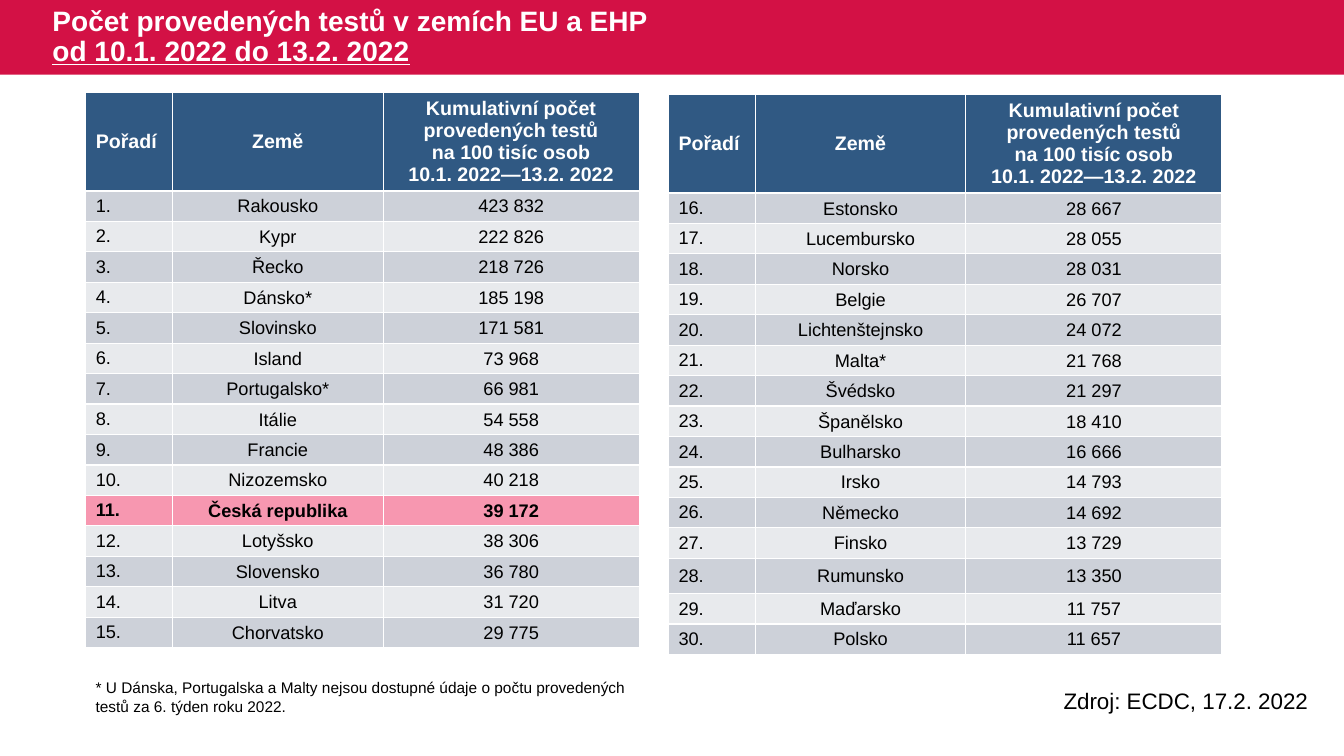
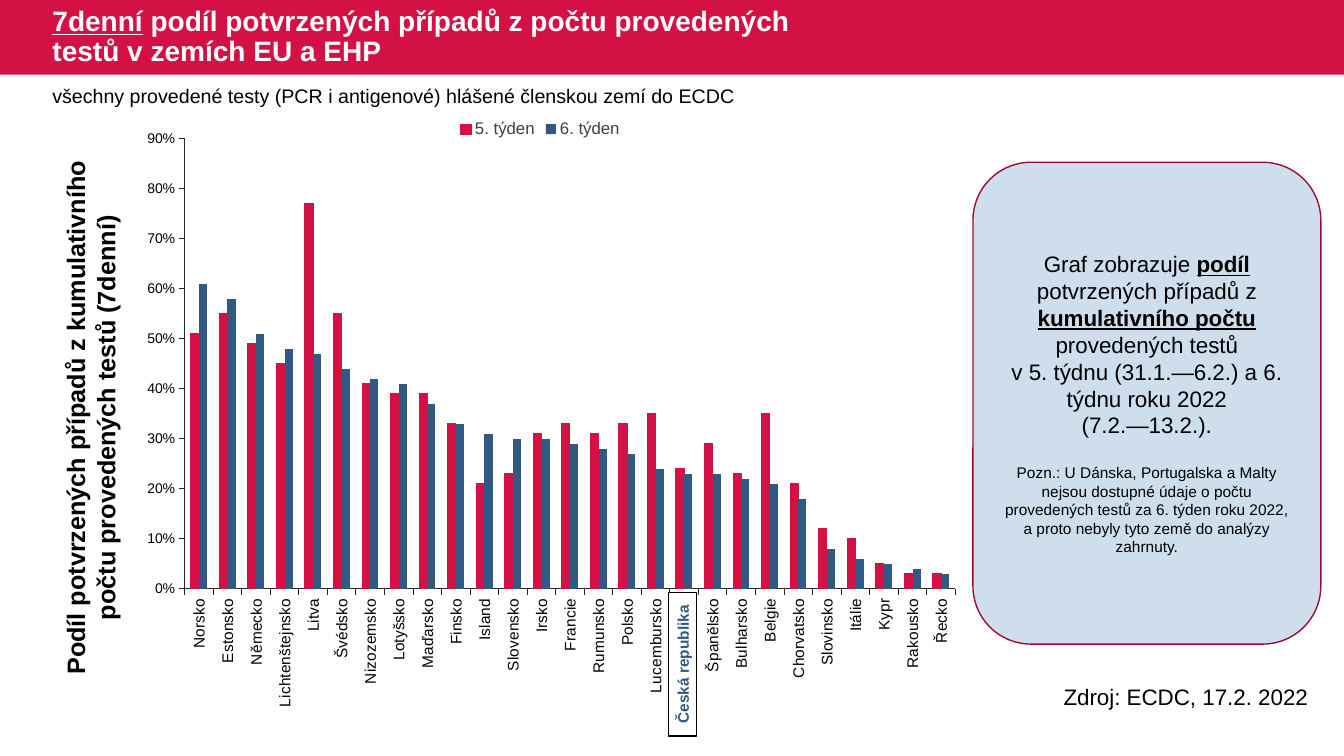
from pptx import Presentation
from pptx.chart.data import CategoryChartData
from pptx.dml.color import RGBColor
from pptx.enum.chart import XL_CHART_TYPE, XL_LEGEND_POSITION, XL_TICK_MARK
from pptx.enum.shapes import MSO_SHAPE
from pptx.enum.text import MSO_ANCHOR, MSO_AUTO_SIZE, PP_ALIGN
from pptx.oxml import parse_xml
from pptx.oxml.ns import nsdecls
from pptx.util import Inches, Pt

FONT = "Arial"
RED, DARK_RED, BLUE, PALE_BLUE = "D31145", "9C0D33", "305983", "CFDEED"
GREY, PALE_GREY, PINK = "CDD1D9", "E8EAED", "F797B0"
WHITE, BLACK, AXIS, LEGEND = "FFFFFF", "000000", "262626", "404040"
LEFT, CENTER = PP_ALIGN.LEFT, PP_ALIGN.CENTER
TOP, MIDDLE = MSO_ANCHOR.TOP, MSO_ANCHOR.MIDDLE
NO_AUTOFIT, FIT_SHAPE = MSO_AUTO_SIZE.NONE, MSO_AUTO_SIZE.SHAPE_TO_FIT_TEXT
RECTANGLE, ROUNDED = MSO_SHAPE.RECTANGLE, MSO_SHAPE.ROUNDED_RECTANGLE
COLUMNS, LEGEND_TOP = XL_CHART_TYPE.COLUMN_CLUSTERED, XL_LEGEND_POSITION.TOP
TICK_OUTSIDE = XL_TICK_MARK.OUTSIDE

TITLE_ONLY = 5
HIGHLIGHT = "Česká republika"
SOURCE = "Zdroj: ECDC, 17.2. 2022"
COLUMN_WIDTHS = (0.86, 2.09, 2.54)
HEADER = (
    ["Pořadí"],
    ["Země"],
    ["Kumulativní počet provedených testů", "na 100 tisíc osob", "10.1. 2022—13.2. 2022"],
)
TESTS = [
    ("Rakousko", 423832), ("Kypr", 222826), ("Řecko", 218726),
    ("Dánsko*", 185198), ("Slovinsko", 171581), ("Island", 73968),
    ("Portugalsko*", 66981), ("Itálie", 54558), ("Francie", 48386),
    ("Nizozemsko", 40218), (HIGHLIGHT, 39172), ("Lotyšsko", 38306),
    ("Slovensko", 36780), ("Litva", 31720), ("Chorvatsko", 29775),
    ("Estonsko", 28667), ("Lucembursko", 28055), ("Norsko", 28031),
    ("Belgie", 26707), ("Lichtenštejnsko", 24072), ("Malta*", 21768),
    ("Švédsko", 21297), ("Španělsko", 18410), ("Bulharsko", 16666),
    ("Irsko", 14793), ("Německo", 14692), ("Finsko", 13729),
    ("Rumunsko", 13350), ("Maďarsko", 11757), ("Polsko", 11657),
]
SHARES = [
    ("Norsko", 0.51, 0.61), ("Estonsko", 0.55, 0.58), ("Německo", 0.49, 0.51),
    ("Lichtenštejnsko", 0.45, 0.48), ("Litva", 0.77, 0.47), ("Švédsko", 0.55, 0.44),
    ("Nizozemsko", 0.41, 0.42), ("Lotyšsko", 0.39, 0.41), ("Maďarsko", 0.39, 0.37),
    ("Finsko", 0.33, 0.33), ("Island", 0.21, 0.31), ("Slovensko", 0.23, 0.3),
    ("Irsko", 0.31, 0.3), ("Francie", 0.33, 0.29), ("Rumunsko", 0.31, 0.28),
    ("Polsko", 0.33, 0.27), ("Lucembursko", 0.35, 0.24), (HIGHLIGHT, 0.24, 0.23),
    ("Španělsko", 0.29, 0.23), ("Bulharsko", 0.23, 0.22), ("Belgie", 0.35, 0.21),
    ("Chorvatsko", 0.21, 0.18), ("Slovinsko", 0.12, 0.08), ("Itálie", 0.1, 0.06),
    ("Kypr", 0.05, 0.05), ("Rakousko", 0.03, 0.04), ("Řecko", 0.03, 0.03),
]


def rgb(value):
    """Return the colour for a hex string."""
    return RGBColor.from_string(value)


def set_font(font, size, color, bold=False):
    """Apply the deck's typeface with a size, colour and weight."""
    font.name, font.size, font.bold = FONT, Pt(size), bold
    font.color.rgb = rgb(color)


def write(frame, paragraphs, size, color=BLACK, bold=False, align=LEFT, anchor=TOP):
    """Write paragraphs, each a string or a list of (text, emphasized) runs."""
    frame.word_wrap = True
    frame.vertical_anchor = anchor
    for index, content in enumerate(paragraphs):
        paragraph = frame.add_paragraph() if index else frame.paragraphs[0]
        paragraph.alignment = align
        set_font(paragraph.font, size, color, bold)
        runs = [(content, False)] if isinstance(content, str) else content
        for text, emphasized in runs:
            if text == "\n":
                paragraph.add_line_break()
                continue
            run = paragraph.add_run()
            run.text = text
            if emphasized:
                run.font.bold = run.font.underline = True


def add_text(slide, box, text, size, **style):
    """Add a wrapping text box."""
    shape = slide.shapes.add_textbox(*map(Inches, box))
    write(shape.text_frame, [text], size, **style)
    shape.text_frame.auto_size = FIT_SHAPE
    return shape


def add_panel(slide, kind, box, fill, line=None):
    """Add a filled preset shape with an optional 1 pt outline."""
    shape = slide.shapes.add_shape(kind, *map(Inches, box))
    shape.shadow.inherit = False
    shape.fill.solid()
    shape.fill.fore_color.rgb = rgb(fill)
    if line:
        shape.line.color.rgb = rgb(line)
        shape.line.width = Pt(1)
    else:
        shape.line.fill.background()
    return shape


def add_titled_slide(presentation, runs):
    """Add a slide with its white title on the red band."""
    slide = presentation.slides.add_slide(presentation.slide_layouts[TITLE_ONLY])
    title = slide.shapes.title
    title.left, title.top, title.width, title.height = map(Inches, (0.42, 0, 8.16, 0.74))
    write(title.text_frame, [runs], 20, WHITE, True, LEFT, MIDDLE)
    title.text_frame.auto_size = NO_AUTOFIT
    title.text_frame.paragraphs[0].line_spacing = 0.9
    return slide


def move_band_to_layout(presentation, slide):
    """Place the red band on the layout that the slides share."""
    band = add_panel(slide, RECTANGLE, (0, 0, 13.33, 0.74), RED)
    presentation.slide_layouts[TITLE_ONLY].shapes.element.insert(2, band.element)


def add_source(slide, top):
    """Add the data source line."""
    add_text(slide, (10.45, top, 2.8, 0.37), SOURCE, 16)


def fill_cell(cell, lines, fill, size, color, bold, align):
    """Write and colour one table cell."""
    cell.fill.solid()
    cell.fill.fore_color.rgb = rgb(fill)
    cell.vertical_anchor = MIDDLE
    write(cell.text_frame, lines, size, color, bold, align, MIDDLE)


def add_ranking(slide, left, top, first_rank, tall_rank=None):
    """Add a table of fifteen countries starting at a given rank."""
    countries = TESTS[first_rank - 1:first_rank + 14]
    box = (left, top, sum(COLUMN_WIDTHS), 0.97 + 0.3 * len(countries))
    table = slide.shapes.add_table(len(countries) + 1, 3, *map(Inches, box)).table
    for column, width in zip(table.columns, COLUMN_WIDTHS):
        column.width = Inches(width)
    aligns = (LEFT, CENTER, CENTER)
    table.rows[0].height = Inches(0.97)
    for column, lines in enumerate(HEADER):
        fill_cell(table.cell(0, column), lines, BLUE, 14, WHITE, True, aligns[column])
    for row, (country, tests) in enumerate(countries, start=1):
        rank = first_rank + row - 1
        table.rows[row].height = Inches(0.35 if rank == tall_rank else 0.3)
        highlighted = country == HIGHLIGHT
        fill = PINK if highlighted else (GREY if row % 2 else PALE_GREY)
        values = (f"{rank}.", country, f"{tests:,}".replace(",", " "))
        for column, text in enumerate(values):
            cell = table.cell(row, column)
            if column:
                cell.margin_left = cell.margin_right = cell.margin_top = Inches(0.01)
                cell.margin_bottom = 0
            fill_cell(cell, [text], fill, 13, BLACK, highlighted, aligns[column])


def set_plot_area(chart, x, y, width, height):
    """Fix the inner plot area as fractions of the chart."""
    plot_area = chart.element.xpath("c:chart/c:plotArea")[0]
    for layout in plot_area.xpath("c:layout"):
        plot_area.remove(layout)
    places = "".join(
        f'<c:{name} val="{value}"/>'
        for name, value in (("x", x), ("y", y), ("w", width), ("h", height))
    )
    plot_area.insert(0, parse_xml(
        f'<c:layout {nsdecls("c")}><c:manualLayout><c:layoutTarget val="inner"/>'
        f'<c:xMode val="edge"/><c:yMode val="edge"/>{places}</c:manualLayout></c:layout>'
    ))


def add_share_chart(slide):
    """Add the clustered columns comparing two weeks by country."""
    countries, week_5, week_6 = zip(*SHARES)
    data = CategoryChartData(number_format="0%")
    data.categories = countries
    data.add_series("5. týden", week_5)
    data.add_series("6. týden", week_6)
    box = map(Inches, (1.16, 1.08, 8.4, 5.95))
    chart = slide.shapes.add_chart(COLUMNS, *box, data).chart
    set_font(chart.font, 10, LEGEND)
    chart.has_title = False
    chart.has_legend = True
    chart.legend.position = LEGEND_TOP
    chart.legend.include_in_layout = False
    set_font(chart.legend.font, 12, LEGEND)

    plot = chart.plots[0]
    plot.gap_width, plot.overlap = 150, 0
    plot.vary_by_categories = False
    for series, color in zip(plot.series, (RED, BLUE)):
        series.format.fill.solid()
        series.format.fill.fore_color.rgb = rgb(color)
    outline = plot.series[0].format.line
    outline.color.rgb = rgb(RED)
    outline.width = Pt(0.75)

    for axis, size in ((chart.category_axis, 11), (chart.value_axis, 10)):
        axis.has_major_gridlines = False
        axis.major_tick_mark = TICK_OUTSIDE
        axis.format.line.color.rgb = rgb(AXIS)
        axis.format.line.width = Pt(0.75)
        set_font(axis.tick_labels.font, size, BLACK)
    shares = chart.value_axis
    shares.minimum_scale, shares.maximum_scale, shares.major_unit = 0, 0.9, 0.1
    shares.tick_labels.number_format = "0%"
    shares.tick_labels.number_format_is_linked = False
    labels = chart.element.xpath("c:chart/c:plotArea/c:catAx/c:txPr/a:bodyPr")[0]
    labels.set("rot", "-5400000")
    labels.set("vert", "horz")
    set_plot_area(chart, 0.08, 0.05, 0.91, 0.75)


def add_explanation(slide):
    """Add the rounded panel that explains the chart."""
    panel = add_panel(slide, ROUNDED, (9.65, 1.61, 3.45, 4.78), PALE_BLUE, DARK_RED)
    write(panel.text_frame, [
        [("Graf zobrazuje ", False), ("podíl", True), (" potvrzených případů z ", False),
         ("kumulativního počtu", True), (" provedených testů", False)],
        "v 5. týdnu (31.1.—6.2.) a 6. týdnu roku 2022",
        "(7.2.—13.2.).",
        "Pozn.: U Dánska, Portugalska a Malty nejsou dostupné údaje o počtu provedených "
        "testů za 6. týden roku 2022, a proto nebyly tyto země do analýzy zahrnuty.",
    ], 16, align=CENTER, anchor=MIDDLE)
    note = panel.text_frame.paragraphs[-1]
    note.font.size = Pt(11)
    note.space_before = Pt(18)


def build_tests_slide(presentation):
    """Build the ranking of countries by number of tests."""
    slide = add_titled_slide(presentation, [
        ("Počet provedených testů v zemích EU a EHP", False),
        ("\n", False),
        ("od 10.1. 2022 do 13.2. 2022", True),
    ])
    move_band_to_layout(presentation, slide)
    add_ranking(slide, 0.85, 0.92, 1)
    add_ranking(slide, 6.63, 0.94, 16, tall_rank=28)
    add_source(slide, 6.77)
    add_text(slide, (0.85, 6.68, 5.48, 0.47),
             "* U Dánska, Portugalska a Malty nejsou dostupné údaje o počtu provedených "
             "testů za 6. týden roku 2022.", 11)


def build_shares_slide(presentation):
    """Build the chart of confirmed cases as a share of tests."""
    slide = add_titled_slide(presentation, [
        ("7denní", True),
        (" podíl potvrzených případů z počtu provedených testů v zemích EU a EHP", False),
    ])
    add_source(slide, 6.73)
    axis_title = add_text(
        slide, (-1.81, 3.79, 5.42, 0.71),
        "Podíl potvrzených případů z kumulativního počtu provedených testů (7denní)",
        18, bold=True, align=CENTER)
    axis_title.rotation = 270
    add_share_chart(slide)
    add_explanation(slide)
    label = add_panel(slide, RECTANGLE, (6.06, 6.45, 1.42, 0.28), WHITE, BLACK)
    label.rotation = 270
    write(label.text_frame, [HIGHLIGHT], 11, BLUE, True, CENTER, MIDDLE)
    add_text(slide, (0.42, 0.78, 12.59, 0.34),
             "všechny provedené testy (PCR i antigenové) hlášené členskou zemí do ECDC", 14)


def main():
    """Build and save the presentation."""
    presentation = Presentation()
    presentation.slide_width, presentation.slide_height = Inches(13.33), Inches(7.5)
    build_tests_slide(presentation)
    build_shares_slide(presentation)
    presentation.save("out.pptx")


if __name__ == "__main__":
    main()
